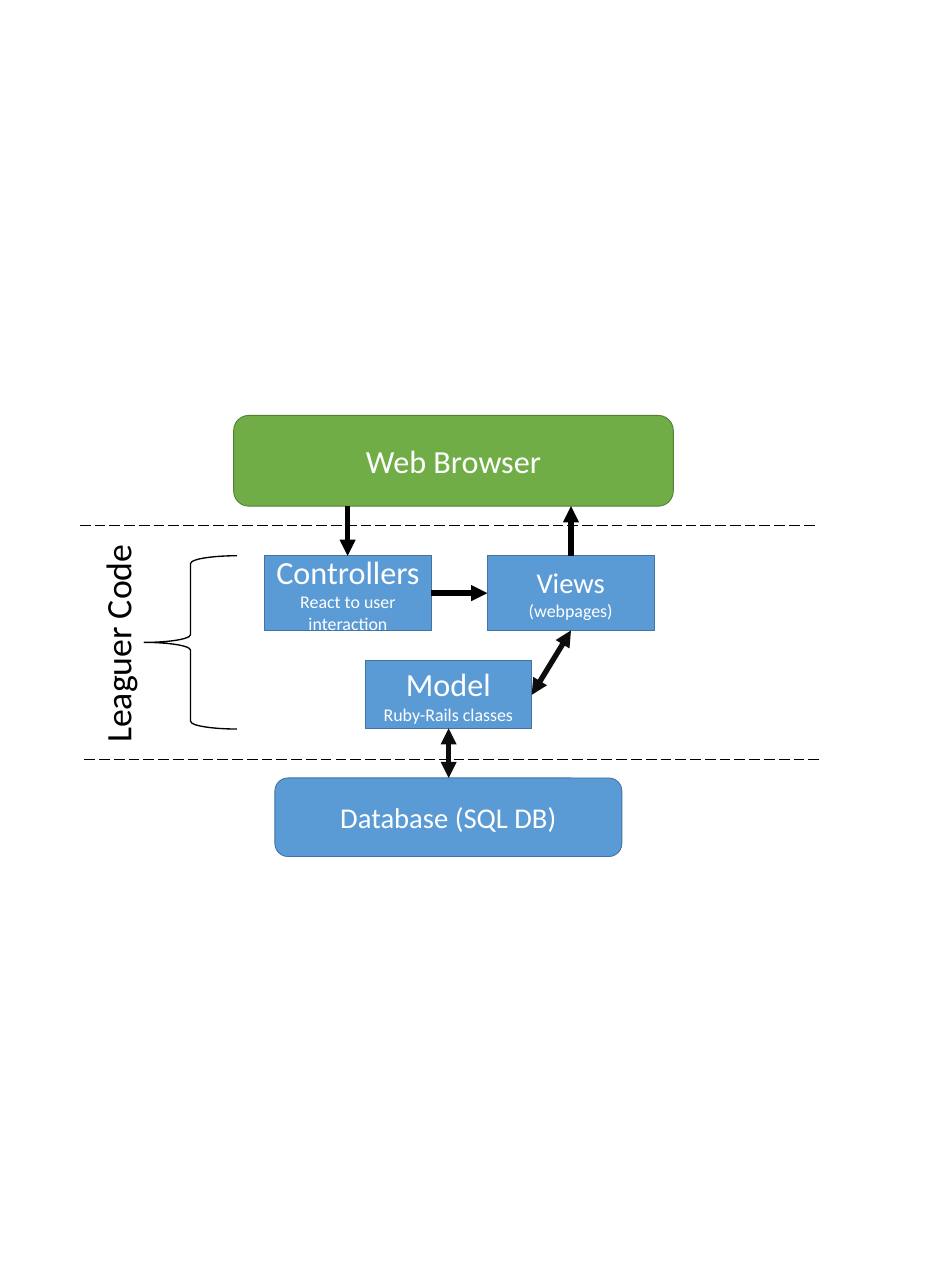
"""Draw the layered web application diagram from browser to database."""
from lxml import etree
from pptx import Presentation, util as u
from pptx.dml.color import RGBColor
from pptx.enum import dml, shapes, text
from pptx.oxml.ns import qn

PX = 9144
COLORS = {
    "blue": "5B9BD5", "blue_edge": "43739E",
    "green": "70AD47", "green_edge": "538035",
    "black": "000000", "soft_black": "0D0D0D", "white": "FFFFFF",
}
KIND = shapes.MSO_SHAPE


class Diagram:
    """Hold the style and the current slide, with a method per element."""

    def __init__(self, prs, font="Calibri"):
        self.slide = prs.slides.add_slide(prs.slide_layouts[6])
        self.font = font

    def color(self, name):
        return RGBColor.from_string(COLORS[name])

    def stroke(self, line, color, width):
        line.color.rgb = self.color(color)
        line.width = u.Pt(width)

    def set_text(self, tf, lines, color):
        tf.word_wrap = True
        for i, (words, size) in enumerate(lines):
            p = tf.paragraphs[0] if i == 0 else tf.add_paragraph()
            p.alignment = text.PP_ALIGN.CENTER
            r = p.add_run()
            r.text = words
            for key, value in {"name": self.font, "size": u.Pt(size)}.items():
                setattr(r.font, key, value)
            r.font.color.rgb = self.color(color)

    def box(self, kind, at, lines, fill="blue"):
        sp = self.slide.shapes.add_shape(kind, *(n * PX for n in at))
        sp.shadow.inherit = False
        sp.fill.solid()
        sp.fill.fore_color.rgb = self.color(fill)
        self.stroke(sp.line, fill + "_edge", 1)
        sp.text_frame.vertical_anchor = text.MSO_ANCHOR.MIDDLE
        self.set_text(sp.text_frame, lines, "white")

    def brace(self, at):
        sp = self.slide.shapes.add_shape(KIND.LEFT_BRACE, *(n * PX for n in at))
        sp.shadow.inherit = False
        sp.fill.background()
        self.stroke(sp.line, "black", 1.5)

    def line(self, start, end, color="black", width=1.5):
        cx = self.slide.shapes.add_connector(
            shapes.MSO_CONNECTOR.STRAIGHT, *(n * PX for n in start + end))
        self.stroke(cx.line, color, width)
        etree.SubElement(cx._element.spPr, qn("a:effectLst"))
        return cx

    def divider(self, x, y, length):
        cx = self.line((x, y), (x + length, y))
        cx.line.dash_style = dml.MSO_LINE.LONG_DASH

    def arrow(self, start, end, color="black", ends=("tailEnd",)):
        cx = self.line(start, end, color, 6)
        ln = cx._element.spPr.find(qn("a:ln"))
        for end_name in ends:
            etree.SubElement(ln, qn("a:" + end_name), type="triangle")

    def label(self, at, words, size, rotation):
        sp = self.slide.shapes.add_textbox(*(n * PX for n in at))
        sp.rotation = rotation
        self.set_text(sp.text_frame, [(words, size)], "black")
        sp.text_frame.auto_size = text.MSO_AUTO_SIZE.SHAPE_TO_FIT_TEXT


def main():
    prs = Presentation()
    prs.slide_width, prs.slide_height = 1440 * PX, 2000 * PX
    d = Diagram(prs)

    d.box(KIND.ROUNDED_RECTANGLE, (427, 1208, 539, 122), [("Database (SQL DB)", 32)])
    d.divider(131, 1179, 1146)
    d.divider(124, 816, 1146)
    d.box(KIND.ROUNDED_RECTANGLE, (363, 645, 683, 141), [("Web Browser", 36)], "green")
    d.brace((224, 863, 144, 269))

    parts = [
        (411, 863, 116, "Controllers", 36, "React to user interaction"),
        (757, 863, 116, "Views", 32, "(webpages)"),
        (567, 1026, 106, "Model", 36, "Ruby-Rails classes"),
    ]
    for x, y, height, title, size, note in parts:
        d.box(KIND.RECTANGLE, (x, y, 259, height), [(title, size), (note, 20)])

    d.arrow((887, 863), (887, 786))
    d.arrow((540, 786), (540, 863))
    d.arrow((670, 921), (757, 921))
    both = ("headEnd", "tailEnd")
    d.arrow((887, 979), (826, 1079), "soft_black", both)
    d.arrow((697, 1131), (697, 1208), "soft_black", both)
    d.label((12, 961, 340, 77), "Leaguer Code", 40, 270)

    prs.save("out.pptx")


if __name__ == "__main__":
    main()
